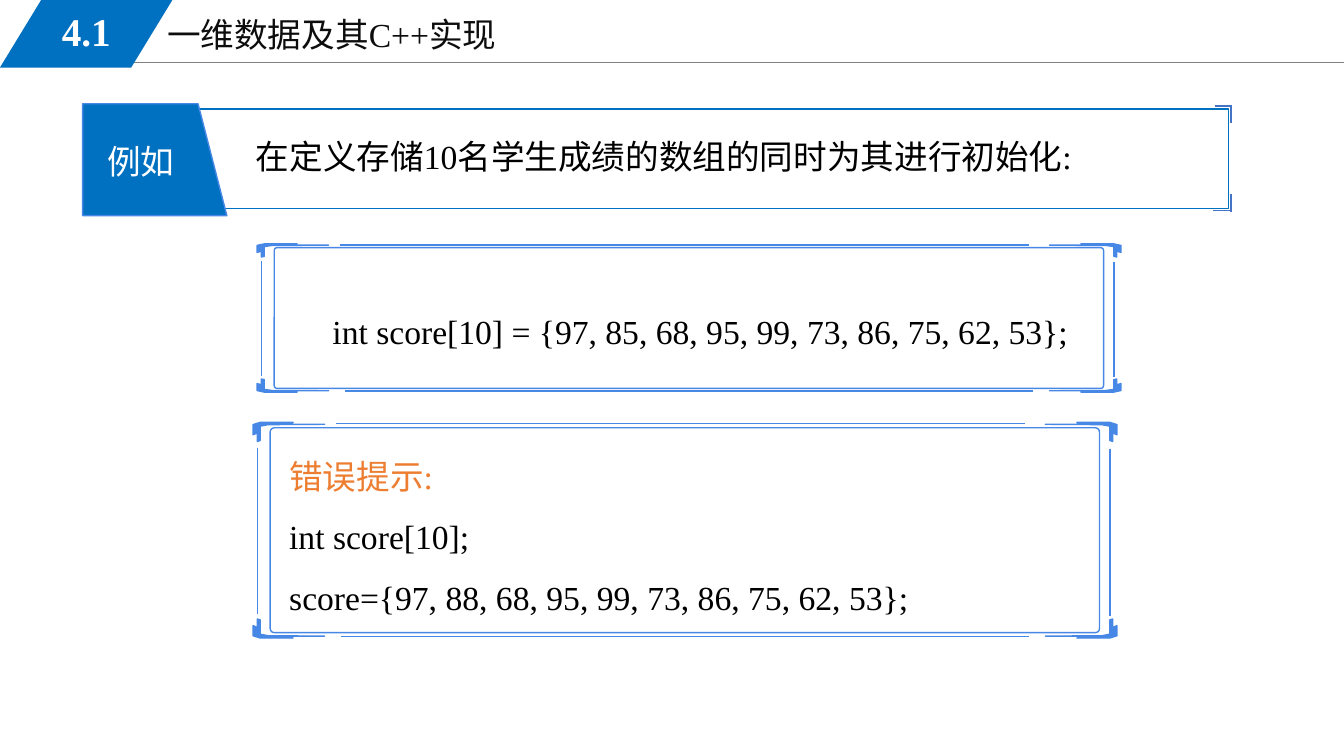
from dataclasses import dataclass

import lxml.etree
import pptx
import pptx.dml.color
import pptx.enum.shapes
import pptx.enum.text
import pptx.oxml.ns
import pptx.shapes.autoshape
import pptx.shapes.connector
import pptx.slide
import pptx.util

KIND = pptx.enum.shapes.MSO_SHAPE
ALIGN = pptx.enum.text.PP_ALIGN
ANCHOR = pptx.enum.text.MSO_ANCHOR
WIDTH = pptx.util.Inches(13.33)
HEIGHT = pptx.util.Inches(7.5)


@dataclass(frozen=True)
class Theme:
    blue: str = "0070C0"
    frame: str = "4788E6"
    tick: str = "4472C4"
    rule: str = "808080"
    heading: str = "0D0D0D"
    ink: str = "000000"
    white: str = "FFFFFF"
    warning: str = "ED7D31"
    latin: str = "Times New Roman"
    chinese: str = "Noto Sans CJK SC"
    body_size: int = 24
    number_size: int = 28


THEME = Theme()


@dataclass(frozen=True)
class Box:
    """Left, top, width and height in percent of the slide."""
    left: float
    top: float
    width: float
    height: float

    def point(self, x: float, y: float) -> tuple[float, float]:
        """Turn percent of this box into percent of the slide."""
        return self.left + self.width * x / 100, self.top + self.height * y / 100

    def emu(self) -> tuple[int, int, int, int]:
        return (*emu(self.left, self.top), *emu(self.width, self.height))


@dataclass(frozen=True)
class Stroke:
    """Line ends in percent of the slide or of a frame."""
    x1: float
    y1: float
    x2: float
    y2: float


@dataclass(frozen=True)
class Label:
    box: Box
    lines: tuple[tuple[str, str], ...]  # wording and colour
    size: int = THEME.body_size
    font: str = THEME.latin
    bold: bool = False
    align: ALIGN = ALIGN.LEFT
    anchor: ANCHOR = ANCHOR.TOP
    spacing: float = 1.0


def emu(x: float, y: float) -> tuple[int, int]:
    return round(WIDTH * x / 100), round(HEIGHT * y / 100)


def rgb(value: str) -> pptx.dml.color.RGBColor:
    return pptx.dml.color.RGBColor.from_string(value)


def paint(shape: pptx.shapes.autoshape.Shape, fill: str | None, line: str | None) -> None:
    shape.shadow.inherit = False
    if fill:
        shape.fill.solid()
        shape.fill.fore_color.rgb = rgb(fill)
    else:
        shape.fill.background()
    if line:
        shape.line.color.rgb = rgb(line)
        shape.line.width = pptx.util.Pt(1)
    else:
        shape.line.fill.background()


def add_block(slide: pptx.slide.Slide, kind: KIND, box: Box, fill: str | None = None,
              line: str | None = None, adjust: float | None = None, turn: float = 0) -> None:
    block = slide.shapes.add_shape(kind, *box.emu())
    paint(block, fill, line)
    block.rotation = turn
    if adjust is not None:
        block.adjustments[0] = adjust


def add_stroke(slide: pptx.slide.Slide, stroke: Stroke, color: str, width: float = 1) -> None:
    line = slide.shapes.add_connector(
        pptx.enum.shapes.MSO_CONNECTOR.STRAIGHT,
        *emu(stroke.x1, stroke.y1), *emu(stroke.x2, stroke.y2))
    line.line.color.rgb = rgb(color)
    line.line.width = pptx.util.Pt(width)
    lxml.etree.SubElement(line._element.spPr, pptx.oxml.ns.qn("a:effectLst"))


def add_label(slide: pptx.slide.Slide, label: Label) -> None:
    frame = slide.shapes.add_textbox(*label.box.emu()).text_frame
    frame.word_wrap = True
    frame.auto_size = pptx.enum.text.MSO_AUTO_SIZE.SHAPE_TO_FIT_TEXT
    frame.vertical_anchor = label.anchor
    for index, (wording, color) in enumerate(label.lines):
        paragraph = frame.add_paragraph() if index else frame.paragraphs[0]
        paragraph.alignment = label.align
        paragraph.line_spacing = label.spacing
        run = paragraph.add_run()
        run.text = wording
        run.font.size = pptx.util.Pt(label.size)
        run.font.bold = label.bold
        run.font.color.rgb = rgb(color)
        run.font.name = label.font
        east_asian = lxml.etree.SubElement(run.font._element, pptx.oxml.ns.qn("a:ea"))
        east_asian.set("typeface", THEME.chinese)


# Corner bracket: percent of its own width and height, measured inward
BRACKET = ((10, 0), (56, 0), (50, 10), (100, 10), (21, 12), (10, 20), (10, 95),
           (6, 100), (6, 55), (0, 65), (0, 12))
BRACKET_WIDTH, BRACKET_HEIGHT = 8.28, 8.85

# Frame edges: percent of the frame
EDGES = (Stroke(9.6, 0.6, 89.3, 0.6), Stroke(10.15, 99.3, 89.85, 99.3),
         Stroke(0.5, 11.7, 0.5, 88.9), Stroke(99.2, 12.2, 99.2, 89.6))


def add_frame(slide: pptx.slide.Slide, frame: Box) -> None:
    inner = Box(*frame.point(1.98, 2.5), frame.width * 0.96, frame.height * 0.95)
    add_block(slide, KIND.ROUNDED_RECTANGLE, inner, line=THEME.frame, adjust=0.02)
    for right in (False, True):
        for bottom in (False, True):
            outline = []
            for x, y in BRACKET:
                x, y = x * BRACKET_WIDTH / 100, y * BRACKET_HEIGHT / 100
                outline.append(emu(*frame.point(100 - x if right else x,
                                                100 - y if bottom else y)))
            builder = slide.shapes.build_freeform(*outline[0])
            builder.add_line_segments(outline[1:], close=True)
            paint(builder.convert_to_shape(), THEME.frame, THEME.frame)
    for edge in EDGES:
        add_stroke(slide, Stroke(*frame.point(edge.x1, edge.y1),
                                 *frame.point(edge.x2, edge.y2)), THEME.frame)


FRAMES = (Box(19.13, 32.27, 64.28, 19.6), Box(18.83, 55.87, 64.28, 28.53))

BANNER_TICKS = (Stroke(90.38, 14, 91.65, 14), Stroke(91.58, 13.87, 91.58, 16.27),
                Stroke(91.58, 25.73, 91.58, 28), Stroke(91.58, 27.87, 90.23, 27.87))

LABELS = (
    Label(Box(11.7, 1.2, 42.53, 6.8), (("一维数据及其C++实现", THEME.heading),)),
    Label(Box(1.88, 0.27, 9.08, 7.73), (("4.1", THEME.white),), size=THEME.number_size,
          bold=True, align=ALIGN.CENTER, anchor=ANCHOR.MIDDLE),
    Label(Box(5.6, 18, 9.75, 6.67), (("例如", THEME.white),), font=THEME.chinese,
          align=ALIGN.CENTER),
    Label(Box(18.3, 17.33, 73.95, 6.67),
          (("在定义存储10名学生成绩的数组的同时为其进行初始化:", THEME.ink),)),
    Label(Box(24, 37.87, 58.65, 9.47),
          (("int score[10] = {97, 85, 68, 95, 99, 73, 86, 75, 62, 53};", THEME.ink),),
          spacing=1.5),
    Label(Box(20.78, 56.93, 59.85, 25.6),
          (("错误提示:", THEME.warning), ("int score[10];", THEME.ink),
           ("score={97, 88, 68, 95, 99, 73, 86, 75, 62, 53};", THEME.ink)), spacing=1.5),
)


def main() -> None:
    deck = pptx.Presentation()
    deck.slide_width, deck.slide_height = WIDTH, HEIGHT
    slide = deck.slides.add_slide(deck.slide_layouts[6])

    # Header
    add_stroke(slide, Stroke(8.48, 8.27, 100, 8.27), THEME.rule, 0.75)
    add_block(slide, KIND.PARALLELOGRAM, Box(0, 0, 12.83, 8.93), THEME.blue, adjust=0.61)

    # Example banner
    add_block(slide, KIND.RECTANGLE, Box(6.15, 14.4, 85.28, 13.2), line=THEME.blue)
    add_block(slide, KIND.FLOWCHART_MANUAL_INPUT, Box(7.35, 11.6, 8.33, 19.07),
              THEME.blue, THEME.frame, turn=90)
    for tick in BANNER_TICKS:
        add_stroke(slide, tick, THEME.tick)

    # Code frames, then all wording on top
    for frame in FRAMES:
        add_frame(slide, frame)
    for label in LABELS:
        add_label(slide, label)
    deck.save("out.pptx")


if __name__ == "__main__":
    main()
